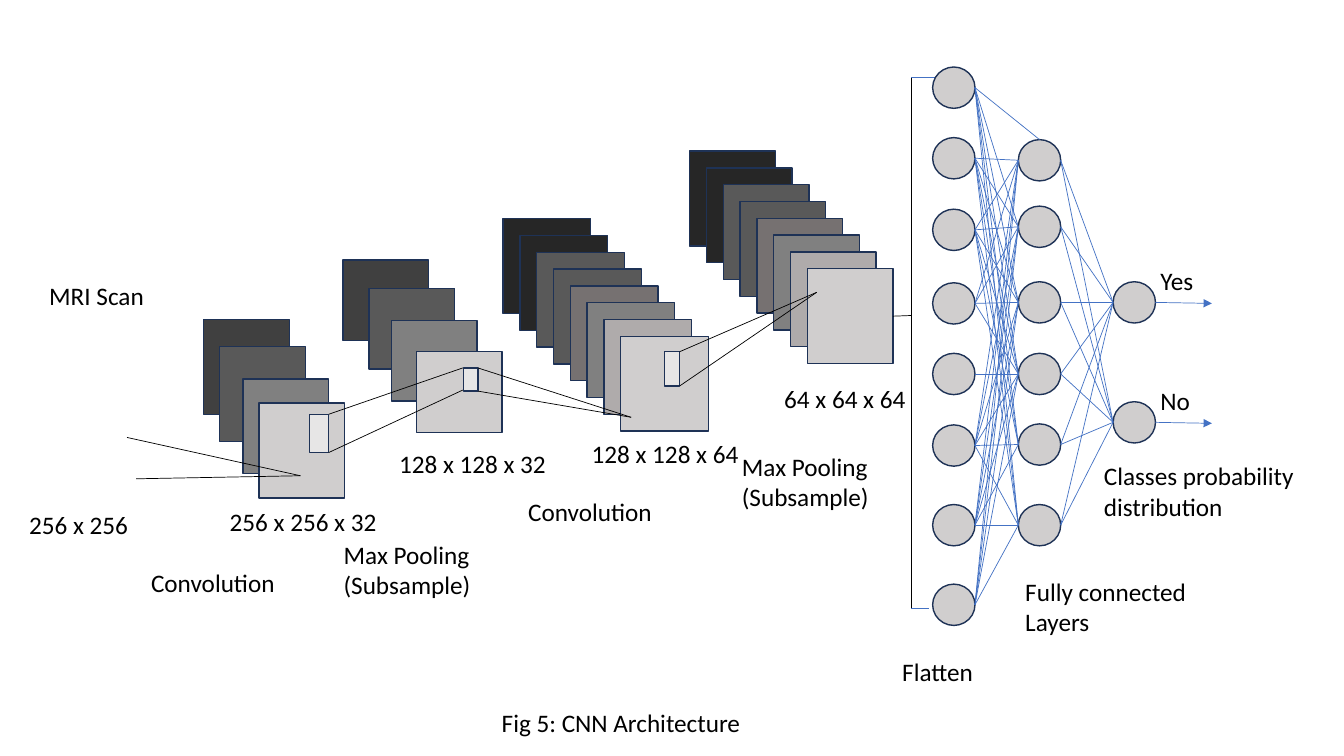
from pptx import Presentation
from pptx.dml.color import RGBColor
from pptx.enum.shapes import MSO_CONNECTOR as Connector, MSO_SHAPE as Shape
from pptx.enum.text import MSO_AUTO_SIZE as AutoSize, PP_ALIGN as Align
from pptx.oxml.ns import qn
from pptx.util import Inches, Pt
from lxml import etree

BLACK, BLUE, NAVY = "000000", "4472C4", "1E3256"
LIGHT, WINDOW = "D0CECE", "E7E6E6"
SHORT_SHADES = ["404040", "595959", "808080", LIGHT]
LONG_SHADES = ["262626", "262626", "595959", "595959", "767171", "808080", "AFABAB", LIGHT]
STEP = 1 / 6
NODE_WIDTH, NODE_HEIGHT = 0.42, 0.41

# Each hidden neuron reached from each flattened neuron, top to bottom
FLAT_LINKS = ["012345", "012345", "012345", "0123", "3", "012345", "012345", "01235"]

LABELS = [
    ("MRI Scan", 0.39, 2.73, 1.43),
    ("256 x 256", 0.19, 5, 1.62),
    ("256 x 256 x 32", 2.18, 4.97, 1.72),
    ("128 x 128 x 32", 3.86, 4.4, 1.73),
    ("128 x 128 x 64", 5.77, 4.3, 1.71),
    ("64 x 64 x 64", 7.68, 3.75, 1.54),
    ("Convolution", 1.4, 5.58, 1.5),
    ("Convolution", 5.14, 4.87, 1.54),
    ("Max Pooling\n(Subsample)", 3.31, 5.3, 2.34),
    ("Max Pooling\n(Subsample)", 7.26, 4.43, 1.77),
    ("Flatten", 8.85, 6.46, 1.11),
    ("Fully connected\nLayers", 10.07, 5.67, 1.95),
    ("Classes probability\ndistribution", 10.85, 4.52, 2.11),
]


def color(value):
    return RGBColor.from_string(value)


def add_block(page, left, top, width, height, fill=LIGHT, kind=Shape.RECTANGLE):
    block = page.shapes.add_shape(kind, Inches(left), Inches(top), Inches(width), Inches(height))
    block.shadow.inherit = False
    block.fill.solid()
    block.fill.fore_color.rgb = color(fill)
    block.line.color.rgb = color(NAVY)
    block.line.width = Pt(1)
    return block


def add_line(page, start, end, stroke=BLACK, arrow=False):
    line = page.shapes.add_connector(
        Connector.STRAIGHT, *[Inches(value) for value in (*start, *end)])
    line.line.color.rgb = color(stroke)
    line.line.width = Pt(0.5)
    if arrow:
        etree.SubElement(line.line._get_or_add_ln(), qn("a:tailEnd"), type="triangle")
    etree.SubElement(line._element.spPr, qn("a:effectLst"))
    return line


def add_text(page, text, left, top, width, align=Align.LEFT, size=18, font="Calibri"):
    height = 0.4 + 0.31 * text.count("\n")
    box = page.shapes.add_textbox(Inches(left), Inches(top), Inches(width), Inches(height))
    frame = box.text_frame
    frame.word_wrap = True
    frame.auto_size = AutoSize.SHAPE_TO_FIT_TEXT
    frame.text = text
    for para in frame.paragraphs:
        para.alignment = align
        for span in para.runs:
            span.font.size = Pt(size)
            span.font.name = font
            span.font.color.rgb = color(BLACK)


def add_stack(page, left, top, width, height, offsets, shades):
    """Place overlapping sheets from back to front; return the front one."""
    for (across, down), shade in zip(offsets, shades):
        sheet = add_block(page, left + across, top + down, width, height, shade)
    return sheet


def add_feature_maps(page, left, top):
    """Place the four stacks with their windows; return the last front sheet."""
    even = [(STEP * i, STEP * i) for i in range(len(LONG_SHADES))]
    add_stack(page, left, top + 1.67, 0.85, 0.94,
              [(0, 0), (0.16, 0.27), (0.39, 0.59), (0.55, 0.83)], SHORT_SHADES)
    add_stack(page, left + 1.38, top + 1.08, 0.85, 0.8,
              [(0, 0), (0.26, 0.28), (0.48, 0.6), (0.73, 0.91)], SHORT_SHADES)
    add_stack(page, left + 2.97, top + 0.67, 0.87, 0.94, even, LONG_SHADES)
    last_sheet = add_stack(page, left + 4.82, top, 0.85, 0.94, even, LONG_SHADES)

    scan_tip = (left + 0.96, top + 3.22)
    add_line(page, (left - 0.76, top + 2.84), scan_tip)
    add_line(page, (left - 0.67, top + 3.25), scan_tip)

    # Window box, then the two points its right corners project to
    pooled, convolved, final = (2.57, 2.15), (4.24, 2.64), (6.08, 1.4)
    windows = [
        (1.05, 2.61, 0.19, 0.38, pooled, (2.57, 2.37)),
        (2.58, 2.15, 0.14, 0.23, convolved, convolved),
        (4.57, 1.99, 0.15, 0.34, final, final),
    ]
    for across, down, width, height, *targets in windows:
        add_block(page, left + across, top + down, width, height, WINDOW)
        for corner, (x, y) in zip((down, down + height), targets):
            add_line(page, (left + across + width, top + corner), (left + x, top + y))
    return last_sheet


def add_layer(page, left, centers):
    """Place a column of neurons; return their left and right middle points."""
    for y in centers:
        add_block(page, left, y - NODE_HEIGHT / 2, NODE_WIDTH, NODE_HEIGHT, kind=Shape.OVAL)
    return [(left, y) for y in centers], [(left + NODE_WIDTH, y) for y in centers]


def add_network(page, left, top):
    """Place the flatten bracket, the neuron layers and the two results."""
    bottom = top + 5.38
    add_line(page, (left, top + 0.11), (left, bottom))
    add_line(page, (left, top + 0.11), (left + 0.24, top + 0.11), BLUE)
    add_line(page, (left, bottom), (left + 0.17, bottom), BLUE)

    flat_y = [0.21, 0.91, 1.62, 2.35, 3.05, 3.76, 4.55, 5.34]
    hidden_y = [0.93, 1.59, 2.34, 3.05, 3.75, 4.55]
    result_y = [2.34, 3.53]
    layers = [(0.21, flat_y), (1.06, hidden_y), (2, result_y)]
    (_, flat_out), (hidden_in, hidden_out), (result_in, result_out) = [
        add_layer(page, left + across, [top + y for y in centers])
        for across, centers in layers]

    first_top = (hidden_in[0][0] + NODE_WIDTH / 2, hidden_in[0][1] - NODE_HEIGHT / 2)
    for row, links in enumerate(FLAT_LINKS):
        for target in map(int, links):
            end = first_top if row == target == 0 else hidden_in[target]
            add_line(page, flat_out[row], end, BLUE)
    for start in hidden_out:
        for end in result_in:
            add_line(page, start, end, BLUE)
    for (x, y), answer in zip(result_out, ("Yes", "No")):
        add_line(page, (x, y), (x + 0.56, y + 0.01), BLUE, arrow=True)
        add_text(page, answer, x - 0.05, y - 0.42, 0.61)


def main():
    deck = Presentation()
    deck.slide_width, deck.slide_height = Inches(13.33), Inches(7.5)
    page = deck.slides.add_slide(deck.slide_layouts[6])
    last_sheet = add_feature_maps(page, 2.02, 1.5)
    add_network(page, 9.04, 0.66)
    link = add_line(page, (8.85, 3.13), (9.04, 3.13))
    link.begin_connect(last_sheet, 3)
    for label in LABELS:
        add_text(page, *label)
    add_text(page, "Fig 5: CNN Architecture", 3.86, 6.97, 4.6, align=Align.CENTER)
    deck.save("out.pptx")


if __name__ == "__main__":
    main()
